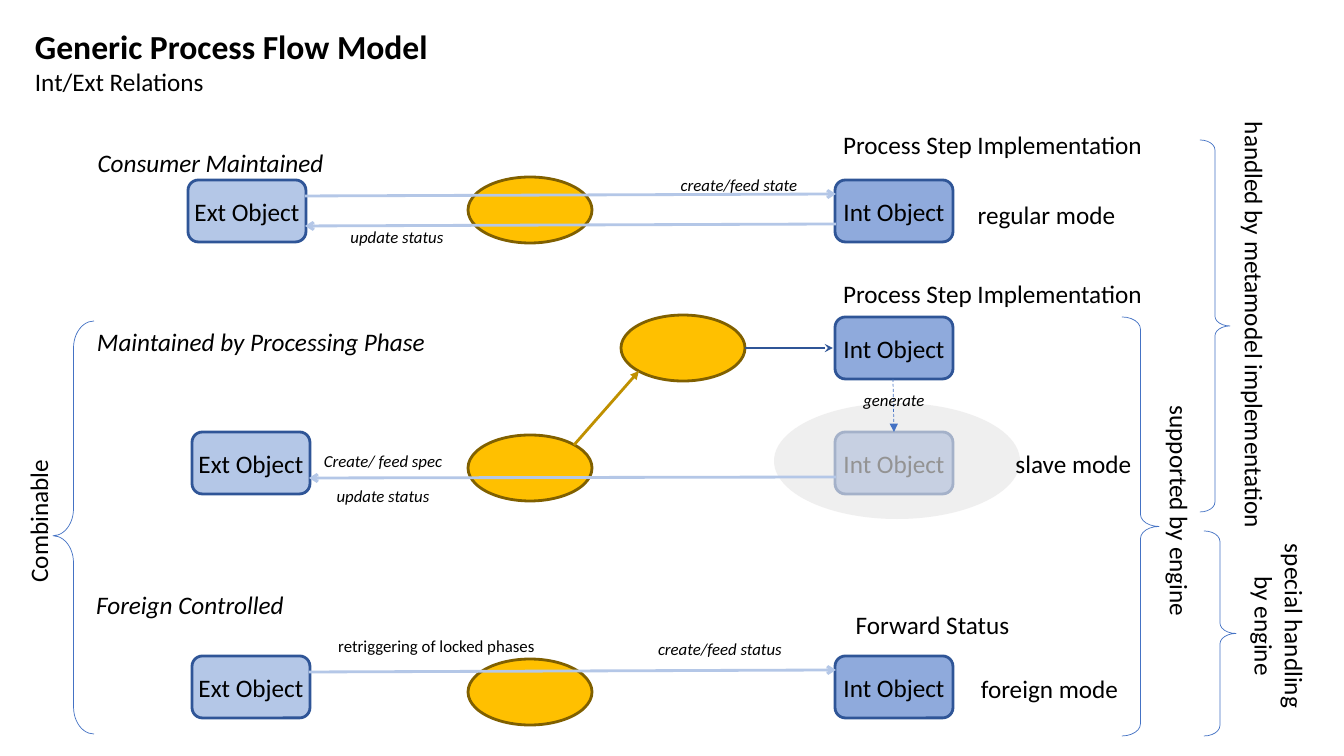
import pptx
import pptx.dml.color
import pptx.enum.dml
import pptx.enum.shapes
import pptx.enum.text
import pptx.oxml.ns
import pptx.util
from lxml import etree

RGBColor = pptx.dml.color.RGBColor
SHAPE = pptx.enum.shapes.MSO_SHAPE
ALIGN = pptx.enum.text.PP_ALIGN

BLACK = RGBColor(0x00, 0x00, 0x00)
NAVY = RGBColor(0x2F, 0x55, 0x97)
BLUE = RGBColor(0x44, 0x72, 0xC4)
INT_BLUE = RGBColor(0x8F, 0xAA, 0xDC)
EXT_BLUE = RGBColor(0xB4, 0xC7, 0xE7)
GOLD = RGBColor(0xFF, 0xC0, 0x00)
DARK_GOLD = RGBColor(0xBF, 0x90, 0x00)
BROWN = RGBColor(0x80, 0x60, 0x00)
GREY = RGBColor(0xE7, 0xE6, 0xE6)

PX = 914400 / 100.8

presentation = pptx.Presentation()
presentation.slide_width = round(1344 * PX)
presentation.slide_height = round(756 * PX)
slide = presentation.slides.add_slide(presentation.slide_layouts[6])


def add_outline(kind, left, top, width, height, fill, line, weight):
    """Add a preset shape in px; a fill or line of None is left empty."""
    shape = slide.shapes.add_shape(kind, *(round(v * PX) for v in (left, top, width, height)))
    shape.shadow.inherit = False
    if fill is None:
        shape.fill.background()
    else:
        shape.fill.solid()
        shape.fill.fore_color.rgb = fill
    if line is None:
        shape.line.fill.background()
    else:
        shape.line.color.rgb = line
        shape.line.width = pptx.util.Pt(weight)
    return shape


def write(frame, lines, size, italic=False, align=ALIGN.CENTER):
    frame.word_wrap = False
    frame.text = lines
    for paragraph in frame.paragraphs:
        paragraph.alignment = align
        paragraph.font.name = "Calibri"
        paragraph.font.size = pptx.util.Pt(size)
        paragraph.font.italic = italic
        paragraph.font.color.rgb = BLACK


# Object boxes
objects = [("Ext Object", EXT_BLUE, [(188, 180), (192, 432), (192, 656)]),
           ("Int Object", INT_BLUE, [(835, 180), (835, 317), (835, 432), (835, 656)])]
for caption, fill, corners in objects:
    for left, top in corners:
        box = add_outline(SHAPE.ROUNDED_RECTANGLE, left, top, 118, 62, fill, NAVY, 2)
        frame = box.text_frame
        frame.margin_left = frame.margin_right = 0
        frame.vertical_anchor = pptx.enum.text.MSO_ANCHOR.MIDDLE
        write(frame, caption, 18)

# Veil over the slave-mode object
veil = add_outline(SHAPE.OVAL, 774, 403, 246, 116, GREY, None, 0)
veil_color = veil.fill._xPr.find(".//" + pptx.oxml.ns.qn("a:srgbClr"))
etree.SubElement(veil_color, pptx.oxml.ns.qn("a:alpha"), val="64000")

# Process elements
for left, top in [(468, 177), (468, 435), (468, 659), (621, 315)]:
    add_outline(SHAPE.OVAL, left, top, 124, 66, GOLD, BROWN, 2)

# Arrows: start, tip, colour, weight, arrowhead
arrows = [
    (305, 196, 836, 194, EXT_BLUE, 2, "arrow"),
    (836, 224, 305, 226, EXT_BLUE, 2, "arrow"),
    (836, 477, 309, 478, EXT_BLUE, 2, "arrow"),
    (309, 672, 836, 670, EXT_BLUE, 2, "arrow"),
    (574, 445, 639, 371, DARK_GOLD, 2, "triangle"),
    (745, 348, 833, 348, NAVY, 2, "stealth"),
    (893, 379, 894, 432, BLUE, 0.5, "triangle"),
]
for x1, y1, x2, y2, color, weight, head in arrows:
    arrow = slide.shapes.add_connector(
        pptx.enum.shapes.MSO_CONNECTOR.STRAIGHT,
        *(round(v * PX) for v in (x1, y1, x2, y2)))
    arrow.line.color.rgb = color
    arrow.line.width = pptx.util.Pt(weight)
    if weight < 1:
        arrow.line.dash_style = pptx.enum.dml.MSO_LINE.DASH
    etree.SubElement(arrow.line._get_or_add_ln(), pptx.oxml.ns.qn("a:tailEnd"), type=head)
    etree.SubElement(arrow._element.spPr, pptx.oxml.ns.qn("a:effectLst"))

# Braces
braces = [
    (SHAPE.LEFT_BRACE, 53, 321, 41, 413, 0.66, 0.52),
    (SHAPE.RIGHT_BRACE, 1122, 317, 37, 419, 0.33, 0.5),
    (SHAPE.RIGHT_BRACE, 1200, 140, 30, 372, 0.33, 0.5),
    (SHAPE.RIGHT_BRACE, 1204, 531, 32, 205, 0.33, 0.5),
]
for kind, left, top, width, height, curl, point in braces:
    brace = add_outline(kind, left, top, width, height, None, BLUE, 0.5)
    brace.adjustments[0] = curl
    brace.adjustments[1] = point

# Labels: text, left, top, width, size, italic, rotation
labels = [
    ("Consumer Maintained", 85, 142, 251, 18, True, 0),
    ("Maintained by Processing Phase", 85, 321, 352, 18, True, 0),
    ("Foreign Controlled", 85, 584, 210, 18, True, 0),
    ("Process Step Implementation", 831, 124, 323, 18, False, 0),
    ("Process Step Implementation", 831, 273, 323, 18, False, 0),
    ("Forward Status", 845, 604, 175, 18, False, 0),
    ("regular mode", 964, 194, 165, 18, False, 0),
    ("slave mode", 1005, 443, 137, 18, False, 0),
    ("foreign mode", 970, 668, 159, 18, False, 0),
    ("create/feed state", 641, 170, 196, 12, True, 0),
    ("update status", 299, 222, 196, 12, True, 0),
    ("generate", 853, 385, 82, 12, True, 0),
    ("Create/ feed spec", 285, 446, 196, 12, True, 0),
    ("update status", 285, 481, 196, 12, True, 0),
    ("create/feed status", 622, 634, 196, 12, True, 0),
    ("retriggering of locked phases", 327, 631, 219, 12, False, 0),
    ("Combinable", -34, 501, 144, 18, False, 270),
    ("supported by engine", 1063, 491, 234, 18, False, 90),
    ("handled by metamodel implementation", 1026, 305, 458, 18, False, 90),
    ("special handling\nby engine", 1165, 590, 228, 18, False, 90),
]
for caption, left, top, width, size, italic, rotation in labels:
    height = 72 if "\n" in caption else 40 if size == 18 else 30
    label = slide.shapes.add_textbox(*(round(v * PX) for v in (left, top, width, height)))
    label.rotation = rotation
    write(label.text_frame, caption, size, italic)

# Heading
heading = slide.shapes.add_textbox(*(round(v * PX) for v in (25, 21, 416, 82)))
write(heading.text_frame, "Generic Process Flow Model\nInt/Ext Relations", 18, align=ALIGN.LEFT)
title = heading.text_frame.paragraphs[0]
title.font.size = pptx.util.Pt(24)
title.font.bold = True

presentation.save("out.pptx")
